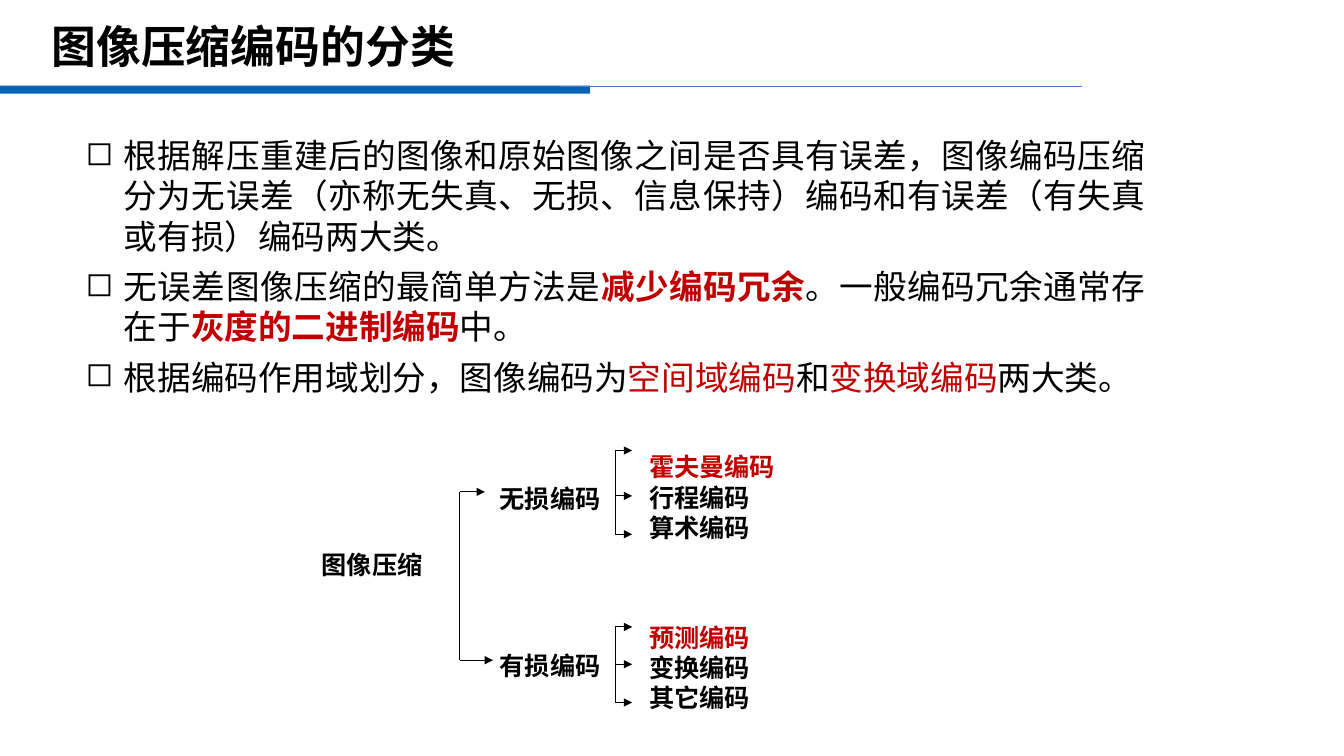
from lxml import etree
from pptx import Presentation, util as u
from pptx.dml.color import RGBColor
from pptx.enum import shapes, text
from pptx.oxml.ns import qn

FONT = "Noto Sans CJK SC"
BLACK, RED, BLUE, THIN_BLUE = "000000", "C00000", "0563B8", "4472C4"

TITLE = "图像压缩编码的分类"
# Each paragraph is a list of runs: (text, colour, bold)
POINTS = [
    [("根据解压重建后的图像和原始图像之间是否具有误差，图像编码压缩分为无误差"
      "（亦称无失真、无损、信息保持）编码和有误差（有失真或有损）编码两大类。", BLACK, False)],
    [("无误差图像压缩的最简单方法是", BLACK, False),
     ("减少编码冗余", RED, True),
     ("。一般编码冗余通常存在于", BLACK, False),
     ("灰度的二进制编码", RED, True),
     ("中。", BLACK, False)],
    [("根据编码作用域划分，图像编码为", BLACK, False),
     ("空间域编码", RED, False),
     ("和", BLACK, False),
     ("变换域编码", RED, False),
     ("两大类。", BLACK, False)],
]
ROOT = "图像压缩"
# Label, its top, members, their top and width, arrow heights
BRANCHES = [
    ("无损编码", 4.72, ["霍夫曼编码", "行程编码", "算术编码"], 4.41, 1.47, (4.47, 4.92, 5.3)),
    ("有损编码", 6.38, ["预测编码", "变换编码", "其它编码"], 6.1, 1.22, (6.22, 6.59, 6.97)),
]
ROOT_STEM, ROOT_ARROWS = 4.56, [(4.81, 4.88), (4.89, 6.55)]
BRANCH_STEM, BRANCH_TIP = 6.1, 6.27
LABEL_LEFT, LABEL_WIDTH, LABEL_HEIGHT = 4.85, 1.21, 0.4
MEMBER_LEFT, MEMBER_HEIGHT = 6.34, 1.01
LINE_RATIO = 1.2

presentation = Presentation()
presentation.slide_width, presentation.slide_height = u.Inches(13.33), u.Inches(7.5)
slide = presentation.slides.add_slide(presentation.slide_layouts[5])


def rgb(colour):
    return RGBColor.from_string(colour)


def write(shape, paragraphs, size=18, align=text.PP_ALIGN.LEFT, wrap=False, inset=0.07,
          anchor=text.MSO_ANCHOR.TOP, spacing=None, before=0, bullet=None, indent=0.38):
    frame = shape.text_frame
    frame.word_wrap = wrap
    frame.auto_size = text.MSO_AUTO_SIZE.NONE
    frame.vertical_anchor = anchor
    frame.margin_top = u.Inches(inset)
    for index, runs in enumerate(paragraphs):
        paragraph = frame.add_paragraph() if index else frame.paragraphs[0]
        paragraph.alignment = align
        paragraph.line_spacing = spacing or u.Pt(size * LINE_RATIO)
        paragraph.space_before = u.Pt(before if index else 0)
        if bullet:
            properties = paragraph._p.get_or_add_pPr()
            properties.set("marL", str(u.Inches(indent)))
            properties.set("indent", str(-u.Inches(indent)))
            etree.SubElement(properties, qn("a:buChar")).set("char", bullet)
        for words, colour, bold in runs:
            run = paragraph.add_run()
            run.text = words
            run.font.size, run.font.bold, run.font.name = u.Pt(size), bold, FONT
            run.font.color.rgb = rgb(colour)
            east_asian = etree.SubElement(run._r.get_or_add_rPr(), qn("a:ea"))
            east_asian.set("typeface", FONT)


def add_text(left, top, width, height, paragraphs, **style):
    box = slide.shapes.add_textbox(*map(u.Inches, (left, top, width, height)))
    write(box, paragraphs, **style)


def add_line(x1, y1, x2, y2, colour=BLACK, width=0.75, arrow=False):
    line = slide.shapes.add_connector(
        shapes.MSO_CONNECTOR.STRAIGHT, *map(u.Inches, (x1, y1, x2, y2)))
    line.line.color.rgb = rgb(colour)
    line.line.width = u.Pt(width)
    if arrow:
        etree.SubElement(line.line._get_or_add_ln(), qn("a:tailEnd")).set("type", "triangle")
    etree.SubElement(line._element.spPr, qn("a:effectLst"))


def add_bracket(stem, arrows):
    """Draw a vertical stem with an arrow to each (tip, height)."""
    add_line(stem, arrows[0][1], stem, arrows[-1][1])
    for tip, height in arrows:
        add_line(stem, height, tip, height, arrow=True)


bar = slide.shapes.add_shape(
    shapes.MSO_SHAPE.RECTANGLE, *map(u.Inches, (0, 0.85, 5.85, 0.08)))
bar.shadow.inherit = False
bar.fill.solid()
bar.fill.fore_color.rgb = rgb(BLUE)
bar.line.fill.background()
add_line(5.55, 0.86, 10.73, 0.86, THIN_BLUE, 1)

title = slide.shapes.title
title.left, title.top, title.width, title.height = map(u.Inches, (0.41, 0.22, 12.44, 0.53))
write(title, [[(TITLE, BLACK, True)]], size=32, wrap=True, inset=0.05,
      anchor=text.MSO_ANCHOR.MIDDLE, spacing=0.9)

add_text(0.75, 1.26, 10.71, 2.77, POINTS, size=24, align=text.PP_ALIGN.JUSTIFY,
         wrap=True, inset=0.08, before=7.2, bullet="◻")

add_text(2.98, 5.38, 1.42, LABEL_HEIGHT, [[(ROOT, BLACK, True)]],
         align=text.PP_ALIGN.CENTER, wrap=True)
add_bracket(ROOT_STEM, ROOT_ARROWS)
for label, label_top, members, members_top, members_width, heights in BRANCHES:
    add_text(LABEL_LEFT, label_top, LABEL_WIDTH, LABEL_HEIGHT, [[(label, BLACK, True)]],
             align=text.PP_ALIGN.CENTER)
    rows = [[(member, BLACK if index else RED, True)] for index, member in enumerate(members)]
    add_text(MEMBER_LEFT, members_top, members_width, MEMBER_HEIGHT, rows)
    add_bracket(BRANCH_STEM, [(BRANCH_TIP, height) for height in heights])

presentation.save("out.pptx")
